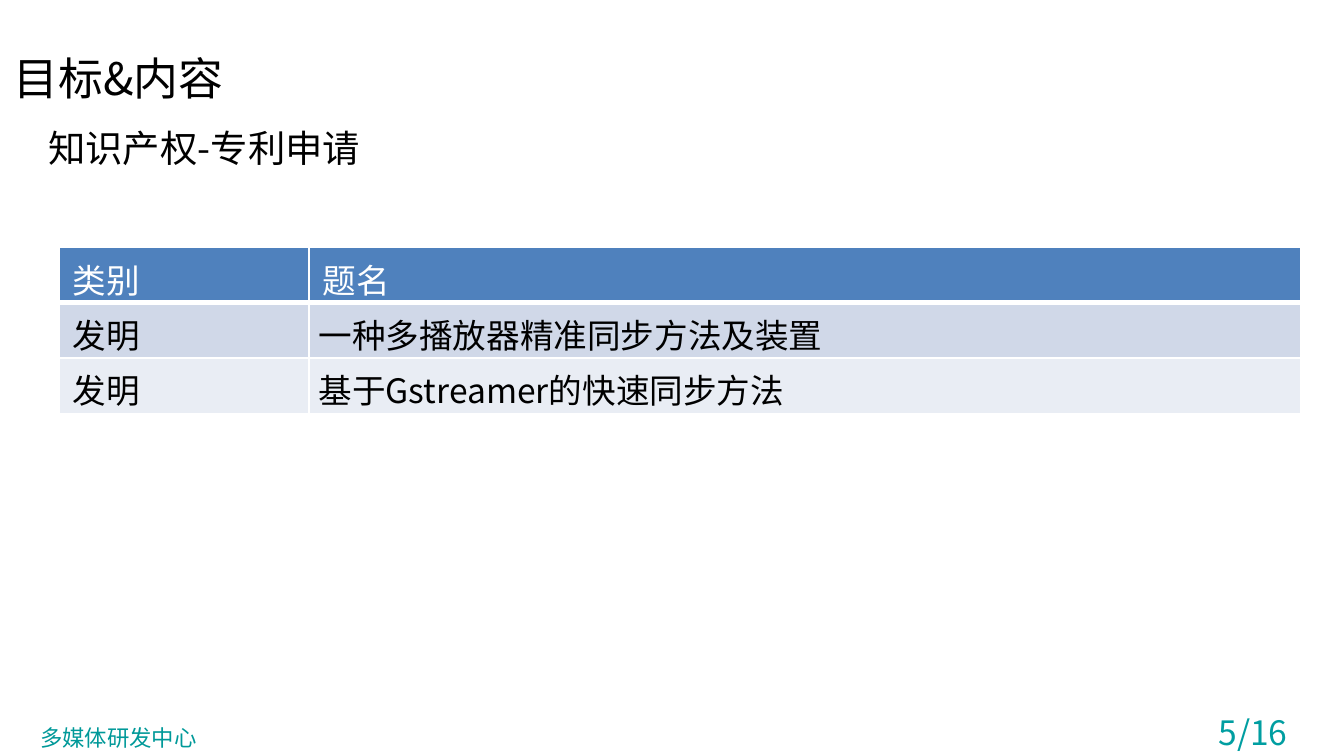
from lxml import etree
from pptx import Presentation
from pptx.dml.color import RGBColor
from pptx.enum.text import MSO_ANCHOR, MSO_AUTO_SIZE, PP_ALIGN
from pptx.oxml.ns import qn
from pptx.util import Inches, Pt

MIDDLE, BOTTOM, TOP = MSO_ANCHOR.MIDDLE, MSO_ANCHOR.BOTTOM, MSO_ANCHOR.TOP
LEFT, RIGHT = PP_ALIGN.LEFT, PP_ALIGN.RIGHT
FONT = "Noto Sans CJK SC"
COLORS = {
    "black": "000000", "white": "FFFFFF", "footer": "009999", "number": "009EA1",
    "header": "4F81BD", "odd": "D0D8E8", "even": "E9EDF4",
}


def write(frame, text, size, color, align=LEFT):
    frame.text = text
    para = frame.paragraphs[0]
    para.alignment = align
    for span in para.runs:
        span.font.size = Pt(size)
        span.font.name = FONT
        span.font.bold = False
        span.font.color.rgb = RGBColor.from_string(COLORS[color])
        east_asian = etree.SubElement(span.font._element, qn("a:ea"))
        east_asian.set("typeface", FONT)
    return para


def add_border(cell, side, width):
    """Draw one white cell edge; side is L, R, T or B."""
    line = etree.Element(qn(f"a:ln{side}"), w=str(Pt(width)))
    fill = etree.SubElement(line, qn("a:solidFill"))
    etree.SubElement(fill, qn("a:srgbClr"), val=COLORS["white"])
    properties = cell._tc.get_or_add_tcPr()
    properties.insert("LRTB".index(side), line)


deck = Presentation()
deck.slide_width = Inches(10)
deck.slide_height = deck.slide_width * 9 // 16
page = deck.slides.add_slide(deck.slide_layouts[5])

# Title
title = page.shapes.title
title.left, title.top = Inches(0), Inches(0.29)
title.width, title.height = Inches(9.5), Inches(0.57)
title.text_frame.vertical_anchor = MIDDLE
write(title.text_frame, "目标&内容", 24, "black")

# Subtitle, footer and page number
TEXTS = [
    ("知识产权-专利申请", (0.26, 0.88, 6.14, 0.44), 20, "black", LEFT, MIDDLE, True),
    ("多媒体研发中心", (0.2, 5.34, 1.38, 0.3), 12, "footer", LEFT, TOP, False),
    ("5/16", (8.65, 5.25, 1.03, 0.4), 18, "number", RIGHT, MIDDLE, True),
]
for text, place, size, color, align, anchor, wrap in TEXTS:
    box = page.shapes.add_textbox(*map(Inches, place))
    frame = box.text_frame
    frame.word_wrap = wrap
    frame.auto_size = MSO_AUTO_SIZE.NONE
    frame.vertical_anchor = anchor
    para = write(frame, text, size, color, align)
    if size == 20:
        para.space_before = Pt(4)

# Patent table
PATENTS = [
    ("类别", "题名"),
    ("发明", "一种多播放器精准同步方法及装置"),
    ("发明", "基于Gstreamer的快速同步方法"),
]
COLUMNS, ROWS = (1.86, 7.38), (0.39, 0.41, 0.41)
table = page.shapes.add_table(
    len(ROWS), len(COLUMNS), Inches(0.44), Inches(1.84),
    Inches(sum(COLUMNS)), Inches(sum(ROWS))).table
for column, width in zip(table.columns, COLUMNS):
    column.width = Inches(width)
for row_index, (row, height, texts) in enumerate(zip(table.rows, ROWS, PATENTS)):
    row.height = Inches(height)
    is_header = row_index == 0
    for column_index, (cell, text) in enumerate(zip(row.cells, texts)):
        write(cell.text_frame, text, 18, "white" if is_header else "black")
        cell.fill.solid()
        band = "header" if is_header else ("even", "odd")[row_index % 2]
        cell.fill.fore_color.rgb = RGBColor.from_string(COLORS[band])
        cell.margin_bottom = 0
        if column_index == 1 and not is_header:
            cell.vertical_anchor = BOTTOM
            cell.margin_left = cell.margin_right = Inches(0.07)
            cell.margin_top = 0
        for side in "LRTB":
            thick = is_header and side == "B" or row_index == 1 and side == "T"
            add_border(cell, side, 3 if thick else 1)

deck.save("out.pptx")
